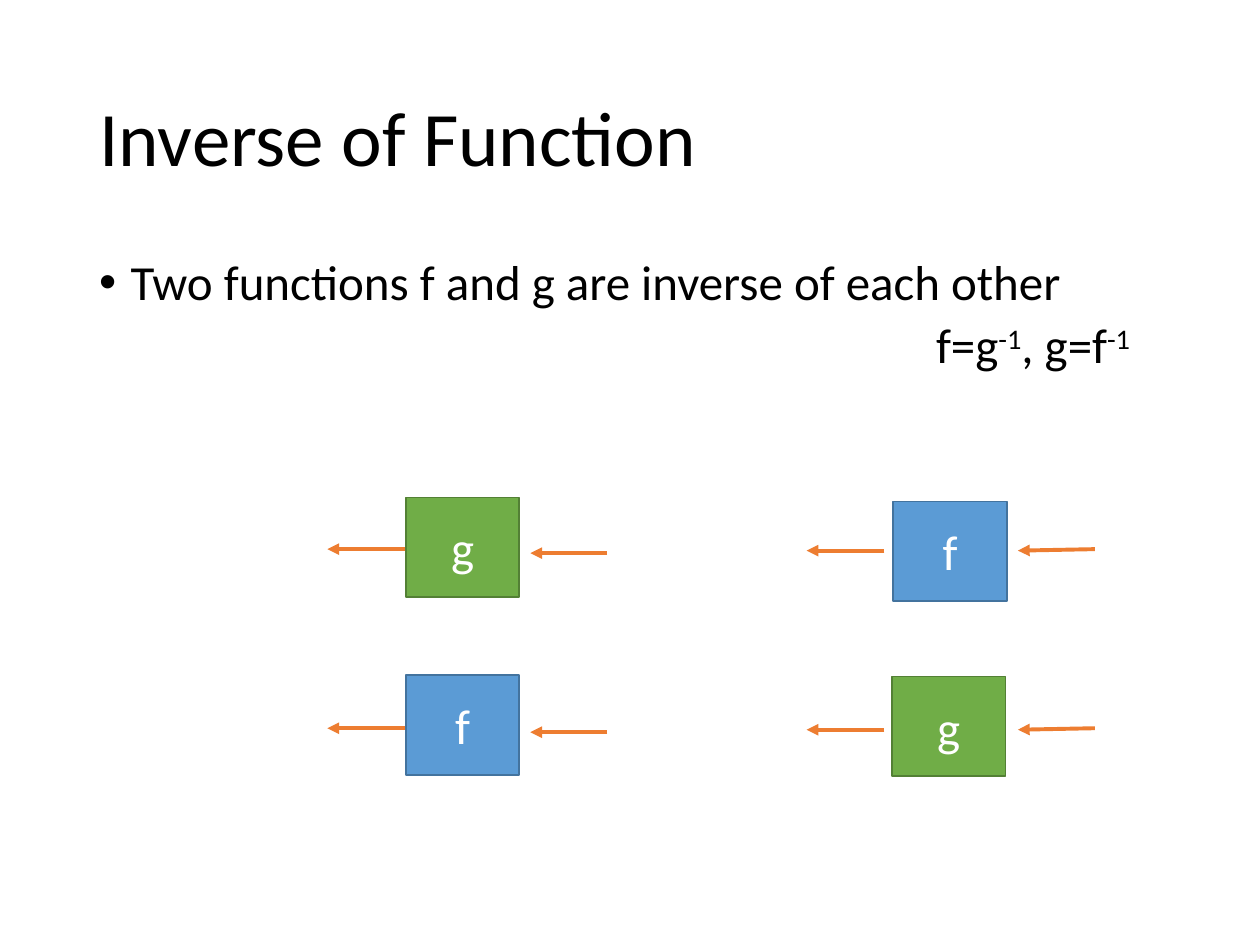
"""Build the slide on a function and its inverse."""
from lxml import etree
from pptx import Presentation
from pptx import util as u
from pptx.dml.color import RGBColor
from pptx.enum import shapes, text
from pptx.oxml.ns import qn

COLORS = {"ink": "000000", "white": "FFFFFF", "arrow": "ED7D31",
          "f": "5B9BD5", "f edge": "43739E", "g": "70AD47", "g edge": "538035"}


def color(name):
    return RGBColor.from_string(COLORS[name])


def add_span(para, words, size=28, ink="ink"):
    span = para.add_run()
    span.text = words
    span.font.name = "Calibri"
    span.font.size = u.Pt(size)
    span.font.color.rgb = color(ink)
    return span


deck = Presentation()
deck.slide_width, deck.slide_height = u.Cm(25.4), u.Cm(19.05)
page = deck.slides.add_slide(deck.slide_layouts[5])

title = page.shapes.title
title.left, title.top, title.width, title.height = u.Cm(1.75), u.Cm(1.02), u.Cm(21.9), u.Cm(3.68)
title.text_frame.vertical_anchor = text.MSO_ANCHOR.MIDDLE
title.text_frame.word_wrap = True
para = title.text_frame.paragraphs[0]
para.alignment = text.PP_ALIGN.LEFT
para.line_spacing = 0.9
add_span(para, "Inverse of Function", 44)

body = page.shapes.add_textbox(u.Cm(1.75), u.Cm(5.08), u.Cm(21.9), u.Cm(12.09))
body.text_frame.word_wrap = True
para = body.text_frame.paragraphs[0]
para.line_spacing = 0.9
para_format = para._p.get_or_add_pPr()
para_format.set("marL", str(u.Cm(0.635)))
para_format.set("indent", str(u.Cm(-0.635)))
etree.SubElement(para_format, qn("a:buFont")).set("typeface", "Arial")
etree.SubElement(para_format, qn("a:buChar")).set("char", "•")
add_span(para, "Two functions f and g are inverse of each other")

row_gap = 3.61
arrows = [(8.18, 11.07, 6.6, 11.07), (12.24, 11.15, 10.69, 11.15),
          (17.83, 11.1, 16.26, 11.1), (22.07, 11.07, 20.52, 11.1)]
for row in range(2):
    shift = row * row_gap
    for x1, y1, x2, y2 in arrows:
        arrow = page.shapes.add_connector(
            shapes.MSO_CONNECTOR.STRAIGHT,
            u.Cm(x1), u.Cm(y1 + shift), u.Cm(x2), u.Cm(y2 + shift))
        arrow.line.color.rgb = color("arrow")
        arrow.line.width = u.Pt(2.25)
        etree.SubElement(arrow.line._get_or_add_ln(), qn("a:tailEnd")).set("type", "triangle")
        etree.SubElement(arrow._element.spPr, qn("a:effectLst"))

for name, left, top in [("g", 8.18, 10.03), ("f", 18.01, 10.11),
                        ("f", 8.18, 13.61), ("g", 17.98, 13.64)]:
    box = page.shapes.add_shape(shapes.MSO_SHAPE.RECTANGLE,
                                u.Cm(left), u.Cm(top), u.Cm(2.29), u.Cm(2.01))
    box.shadow.inherit = False
    box.fill.solid()
    box.fill.fore_color.rgb = color(name)
    box.line.color.rgb = color(name + " edge")
    box.line.width = u.Pt(1)
    box.text_frame.vertical_anchor = text.MSO_ANCHOR.MIDDLE
    para = box.text_frame.paragraphs[0]
    para.alignment = text.PP_ALIGN.CENTER
    add_span(para, name, ink="white")

formula = page.shapes.add_textbox(u.Cm(18.62), u.Cm(6.22), u.Cm(5.36), u.Cm(1.45))
formula.text_frame.word_wrap = True
para = formula.text_frame.paragraphs[0]
for words in ("f=g", "-1", ", g=f", "-1"):
    span = add_span(para, words)
    if words == "-1":
        span._r.get_or_add_rPr().set("baseline", "30000")

deck.save("out.pptx")
